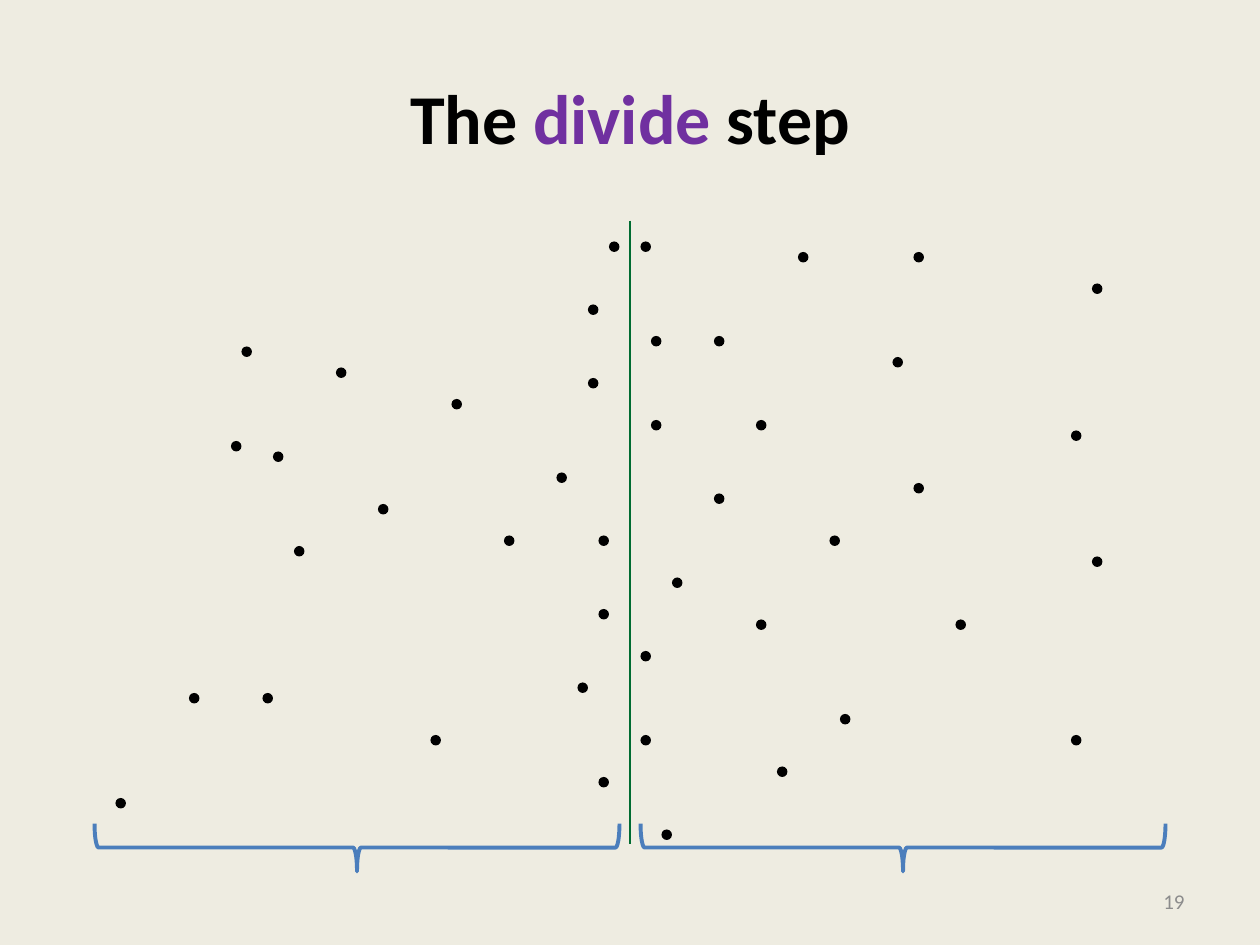
from lxml import etree
from pptx import Presentation
from pptx.dml.color import RGBColor
from pptx.enum import shapes, text
from pptx.oxml.ns import qn
from pptx.util import Inches, Pt

BACKGROUND = RGBColor(0xEE, 0xEC, 0xE1)
BLACK = RGBColor(0, 0, 0)
PURPLE = RGBColor(0x70, 0x30, 0xA0)
GREEN = RGBColor(0x00, 0x6C, 0x31)
BLUE = RGBColor(0x4B, 0x7E, 0xBC)
GREY = RGBColor(0x8C, 0x8C, 0x8C)
FONT = "Calibri"

# Points lie on a grid of 1/12 inch, counted from the corner of their half
GRID = Inches(1) // 12
HALF_WIDTH, HALF_HEIGHT = 50 * GRID, 62 * GRID
BRACE_DEPTH = Inches(0.38)

LEFT_POINTS = [
    (49, 2), (47, 8), (14, 12), (23, 14), (47, 15), (34, 17), (13, 21),
    (17, 22), (44, 24), (27, 27), (39, 30), (48, 30), (19, 31), (48, 37),
    (46, 44), (9, 45), (16, 45), (32, 49), (48, 53), (2, 55),
]
RIGHT_POINTS = [
    (0, 2), (15, 3), (26, 3), (43, 6), (1, 11), (7, 11), (24, 13), (1, 19),
    (11, 19), (41, 20), (26, 25), (7, 26), (18, 30), (43, 32), (3, 34),
    (11, 38), (30, 38), (0, 41), (19, 47), (0, 49), (41, 49), (13, 52),
    (2, 58),
]


def add_title(slide, left, top, width, height):
    title = slide.shapes.title
    title.left, title.top, title.width, title.height = left, top, width, height
    frame = title.text_frame
    frame.vertical_anchor = text.MSO_ANCHOR.MIDDLE
    heading = frame.paragraphs[0]
    heading.alignment = text.PP_ALIGN.CENTER
    for words, color in [("The ", BLACK), ("divide", PURPLE), (" step", BLACK)]:
        run = heading.add_run()
        run.text = words
        run.font.color.rgb = color
    heading.font.name, heading.font.size, heading.font.bold = FONT, Pt(40), True


def add_half(slide, left, top, width, height, points):
    # Points
    for column, row in points:
        point = slide.shapes.add_shape(
            shapes.MSO_SHAPE.OVAL, left + column * GRID, top + row * GRID, GRID, GRID)
        point.shadow.inherit = False
        point.fill.solid()
        point.fill.fore_color.rgb = BLACK
        point.line.fill.background()

    # Brace along the bottom edge, turned about its centre
    center_x, center_y = left + width // 2, top + height - BRACE_DEPTH // 2
    brace = slide.shapes.add_shape(
        shapes.MSO_SHAPE.RIGHT_BRACE, center_x - BRACE_DEPTH // 2,
        center_y - width // 2, BRACE_DEPTH, width)
    brace.rotation = 90
    brace.shadow.inherit = False
    brace.fill.background()
    brace.line.color.rgb = BLUE
    brace.line.width = Pt(2.25)


def add_divider(slide, x, top, bottom):
    divider = slide.shapes.add_connector(
        shapes.MSO_CONNECTOR.STRAIGHT, x, top, x, bottom)
    divider.line.color.rgb = GREEN
    divider.line.width = Pt(1.5)
    etree.SubElement(divider._element.spPr, qn("a:effectLst"))


def add_page_number(slide, left, top, width, height):
    frame = slide.shapes.add_textbox(left, top, width, height).text_frame
    frame.word_wrap = True
    frame.vertical_anchor = text.MSO_ANCHOR.MIDDLE
    number = frame.paragraphs[0]
    number.text = "19"
    number.alignment = text.PP_ALIGN.RIGHT
    number.font.name, number.font.size = FONT, Pt(12)
    number.font.color.rgb = GREY


def main():
    prs = Presentation()
    prs.slide_width, prs.slide_height = Inches(10), Inches(7.5)
    slide = prs.slides.add_slide(prs.slide_layouts[5])
    slide.background.fill.solid()
    slide.background.fill.fore_color.rgb = BACKGROUND

    add_title(slide, Inches(0.5), Inches(0.3), Inches(9), Inches(1.25))
    top = Inches(1.75)
    for left, points in [(9 * GRID, LEFT_POINTS), (61 * GRID, RIGHT_POINTS)]:
        add_half(slide, left, top, HALF_WIDTH, HALF_HEIGHT, points)
    add_divider(slide, Inches(5), top, Inches(6.7))
    add_page_number(slide, Inches(7.17), Inches(6.95), Inches(2.33), Inches(0.4))
    prs.save("out.pptx")


if __name__ == "__main__":
    main()
